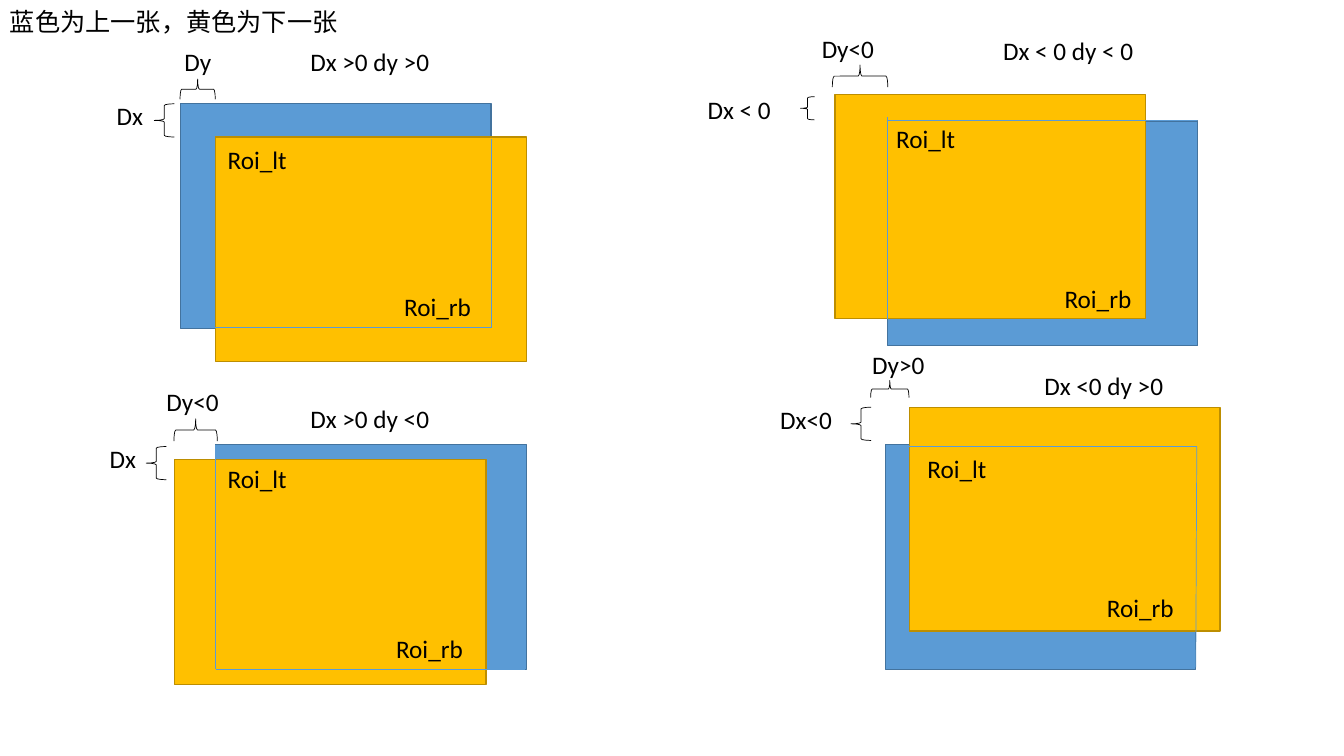
from pptx import Presentation
from pptx.dml.color import RGBColor
from pptx.enum.shapes import MSO_CONNECTOR as CONNECTOR, MSO_SHAPE as SHAPE
from pptx.enum.text import MSO_AUTO_SIZE as AUTO_SIZE, PP_ALIGN as ALIGN
from pptx.util import Pt
from lxml import etree

PX = 9144
SLIDE_SIZE = (1333, 750)
LABEL_HEIGHT = 40
FONT = "Calibri"
COLORS = {
    "previous": "5B9BD5", "previous_edge": "43739E",
    "next": "FFC000", "next_edge": "BD8E00",
    "ink": "000000",
}
LEGEND = ("蓝色为上一张，黄色为下一张", 0, 1, 348)
CASES = [
    {
        "title": ("Dx >0 dy >0", 298, 41, 140),
        "previous": (179, 103, 308, 223), "next": (214, 136, 308, 223),
        "overlap_edges": [(487, 138, 487, 325), (180, 325, 487, 325)],
        "dy": ("Dy", 173, 41, 64), "dy_align": ALIGN.LEFT, "dy_brace": (186, 71, 20, 35),
        "dx": ("Dx", 106, 95, 47), "dx_brace": (153, 103, 20, 33),
        "corners": [("Roi_lt", 216, 138, 82), ("Roi_rb", 391, 284, 99)],
    },
    {
        "title": ("Dx < 0 dy < 0", 985, 30, 151),
        "previous": (880, 120, 308, 223), "next": (828, 94, 308, 222),
        "overlap_edges": [(880, 116, 880, 316), (880, 119, 1187, 119)],
        "dy": ("Dy<0", 786, 28, 110), "dy_align": ALIGN.CENTER, "dy_brace": (842, 48, 22, 55),
        "dx": ("Dx < 0", 692, 89, 103), "dx_brace": (794, 96, 14, 23),
        "corners": [("Roi_lt", 879, 117, 82), ("Roi_rb", 1046, 276, 99)],
    },
    {
        "title": ("Dx >0 dy <0", 298, 395, 140),
        "previous": (214, 441, 308, 223), "next": (173, 456, 309, 223),
        "overlap_edges": [(214, 441, 214, 664), (214, 664, 521, 664)],
        "dy": ("Dy<0", 145, 378, 92), "dy_align": ALIGN.CENTER, "dy_brace": (183, 405, 22, 43),
        "dx": ("Dx", 99, 435, 47), "dx_brace": (145, 443, 20, 33),
        "corners": [("Roi_lt", 216, 455, 82), ("Roi_rb", 383, 623, 99)],
    },
    {
        "title": ("Dx <0 dy >0", 1026, 362, 140),
        "previous": (878, 441, 308, 223), "next": (902, 404, 308, 222),
        "overlap_edges": [(1187, 443, 1186, 662), (880, 443, 1187, 443)],
        "dy": ("Dy>0", 836, 342, 110), "dy_align": ALIGN.CENTER, "dy_brace": (874, 367, 17, 38),
        "dx": ("Dx<0", 764, 396, 77), "dx_brace": (844, 404, 20, 33),
        "corners": [("Roi_lt", 910, 445, 82), ("Roi_rb", 1088, 583, 99)],
    },
]


def color(name):
    return RGBColor.from_string(COLORS[name])


def emu(lengths):
    return [length * PX for length in lengths]


def set_line(item, name, width):
    item.line.color.rgb = color(name)
    item.line.width = Pt(width)


def add_frame(shapes, role, box):
    frame = shapes.add_shape(SHAPE.RECTANGLE, *emu(box))
    frame.shadow.inherit = False
    frame.fill.solid()
    frame.fill.fore_color.rgb = color(role)
    set_line(frame, role + "_edge", 1)


def add_brace(shapes, box, rotation=0):
    brace = shapes.add_shape(SHAPE.LEFT_BRACE, *emu(box))
    brace.shadow.inherit = False
    brace.fill.background()
    brace.rotation = rotation
    set_line(brace, "ink", 0.5)


def add_edge(shapes, ends):
    edge = shapes.add_connector(CONNECTOR.STRAIGHT, *emu(ends))
    set_line(edge, "previous", 0.5)
    namespace = "{http://schemas.openxmlformats.org/drawingml/2006/main}"
    etree.SubElement(edge._element.spPr, namespace + "effectLst")


def add_label(shapes, label, wrap=True, align=ALIGN.LEFT):
    text, left, top, width = label
    frame = shapes.add_textbox(*emu((left, top, width, LABEL_HEIGHT))).text_frame
    frame.word_wrap = wrap
    frame.auto_size = AUTO_SIZE.SHAPE_TO_FIT_TEXT
    line = frame.paragraphs[0]
    line.text = text
    line.alignment = align
    line.font.name = FONT
    line.font.size = Pt(18)
    line.font.color.rgb = color("ink")


def add_case(shapes, case):
    for role in ("previous", "next"):
        add_frame(shapes, role, case[role])
    for ends in case["overlap_edges"]:
        add_edge(shapes, ends)
    add_label(shapes, case["title"], wrap=False)
    add_brace(shapes, case["dy_brace"], rotation=90)
    add_label(shapes, case["dy"], align=case["dy_align"])
    add_brace(shapes, case["dx_brace"])
    add_label(shapes, case["dx"])
    for corner in case["corners"]:
        add_label(shapes, corner)


def main():
    deck = Presentation()
    deck.slide_width, deck.slide_height = emu(SLIDE_SIZE)
    shapes = deck.slides.add_slide(deck.slide_layouts[6]).shapes
    add_label(shapes, LEGEND, wrap=False)
    for case in CASES:
        add_case(shapes, case)
    deck.save("out.pptx")


if __name__ == "__main__":
    main()
